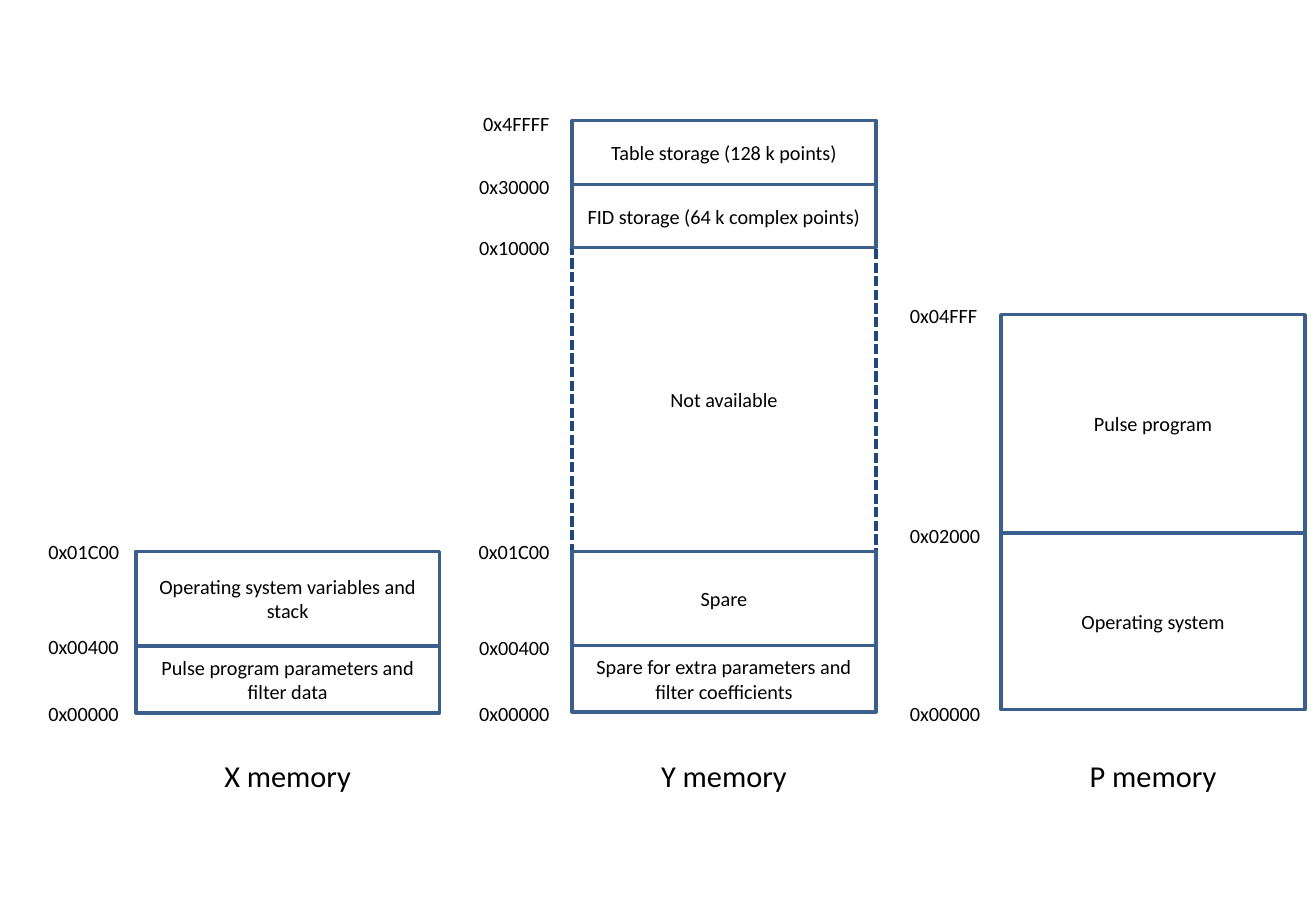
"""Draw the memory maps of the X, Y and P banks."""
from dataclasses import dataclass

from pptx import Presentation
from pptx.dml.color import RGBColor
from pptx.enum import dml, shapes, text
from pptx.util import Cm, Pt


@dataclass(frozen=True)
class Theme:
    """Colours, font and sizes of the slide."""
    font: str = "Calibri"
    ink: RGBColor = RGBColor(0, 0, 0)
    fill: RGBColor = RGBColor(0xFF, 0xFF, 0xFF)
    edge: RGBColor = RGBColor(0x3A, 0x5F, 0x8C)
    dash: RGBColor = RGBColor(0x1F, 0x49, 0x7D)
    small: Pt = Pt(12)
    large: Pt = Pt(18)
    line: Pt = Pt(2)


@dataclass(frozen=True)
class Bank:
    """One memory column, its values in centimetres from top to bottom."""
    name: str
    left: float
    edges: list
    areas: list
    tag_left: float
    tags: list
    align: text.PP_ALIGN = text.PP_ALIGN.LEFT


THEME = Theme()
WIDTH = 6.35
GAP = "Not available"
BANKS = [
    Bank("X memory", 2.84, [11.53, 13.51, 14.91],
         ["Operating system variables and stack",
          "Pulse program parameters and filter data"],
         0.76, [("0x01C00", 11.15), ("0x00400", 13.13), ("0x00000", 14.55)]),
    Bank("Y memory", 11.96, [2.52, 3.86, 5.18, 11.53, 13.5, 14.89],
         ["Table storage (128 k points)", "FID storage (64 k complex points)",
          GAP, "Spare", "Spare for extra parameters and filter coefficients"],
         9.73, [("0x4FFFF", 2.21), ("0x30000", 3.53), ("0x10000", 4.8),
                ("0x01C00", 11.15), ("0x00400", 13.16), ("0x00000", 14.55)],
         text.PP_ALIGN.RIGHT),
    Bank("P memory", 20.93, [6.58, 11.15, 14.84],
         ["Pulse program", "Operating system"],
         18.77, [("0x04FFF", 6.22), ("0x02000", 10.82), ("0x00000", 14.55)]),
]


def write(frame, words, size, align):
    """Put one styled paragraph in a text frame."""
    para = frame.paragraphs[0]
    para.text = words
    para.alignment = align
    para.font.name = THEME.font
    para.font.size = size
    para.font.color.rgb = THEME.ink


def add_label(slide, words, left, top, width, height, size, align):
    """Add a line of text that does not wrap."""
    box = slide.shapes.add_textbox(Cm(left), Cm(top), Cm(width), Cm(height))
    frame = box.text_frame
    frame.word_wrap = False
    frame.auto_size = text.MSO_AUTO_SIZE.SHAPE_TO_FIT_TEXT
    write(frame, words, size, align)


def add_area(slide, words, left, top, end):
    """Add one memory area, dashed where memory is not available."""
    box = slide.shapes.add_shape(shapes.MSO_SHAPE.RECTANGLE, Cm(left),
                                 Cm(top), Cm(WIDTH), Cm(end - top))
    box.shadow.inherit = False
    box.fill.solid()
    box.fill.fore_color.rgb = THEME.fill
    box.line.width = THEME.line
    box.line.color.rgb = THEME.edge
    if words == GAP:
        box.line.color.rgb = THEME.dash
        box.line.dash_style = dml.MSO_LINE.SQUARE_DOT
    frame = box.text_frame
    frame.word_wrap = True
    frame.vertical_anchor = text.MSO_ANCHOR.MIDDLE
    write(frame, words, THEME.small, text.PP_ALIGN.CENTER)


def add_bank(slide, bank):
    """Add a column with its areas, addresses and name."""
    areas = zip(bank.areas, bank.edges, bank.edges[1:])
    for words, top, end in sorted(areas, key=lambda area: area[0] != GAP):
        add_area(slide, words, bank.left, top, end)
    for words, top in bank.tags:
        add_label(slide, words, bank.tag_left, top, 2.01, 0.77,
                  THEME.small, bank.align)
    width = 3.23
    add_label(slide, bank.name, bank.left + (WIDTH - width) / 2, 15.7,
              width, 1.02, THEME.large, text.PP_ALIGN.CENTER)


def main():
    """Build and save the slide."""
    deck = Presentation()
    deck.slide_width, deck.slide_height = Cm(27.51), Cm(19.05)
    slide = deck.slides.add_slide(deck.slide_layouts[6])
    for bank in BANKS:
        add_bank(slide, bank)
    deck.save("out.pptx")


if __name__ == "__main__":
    main()
